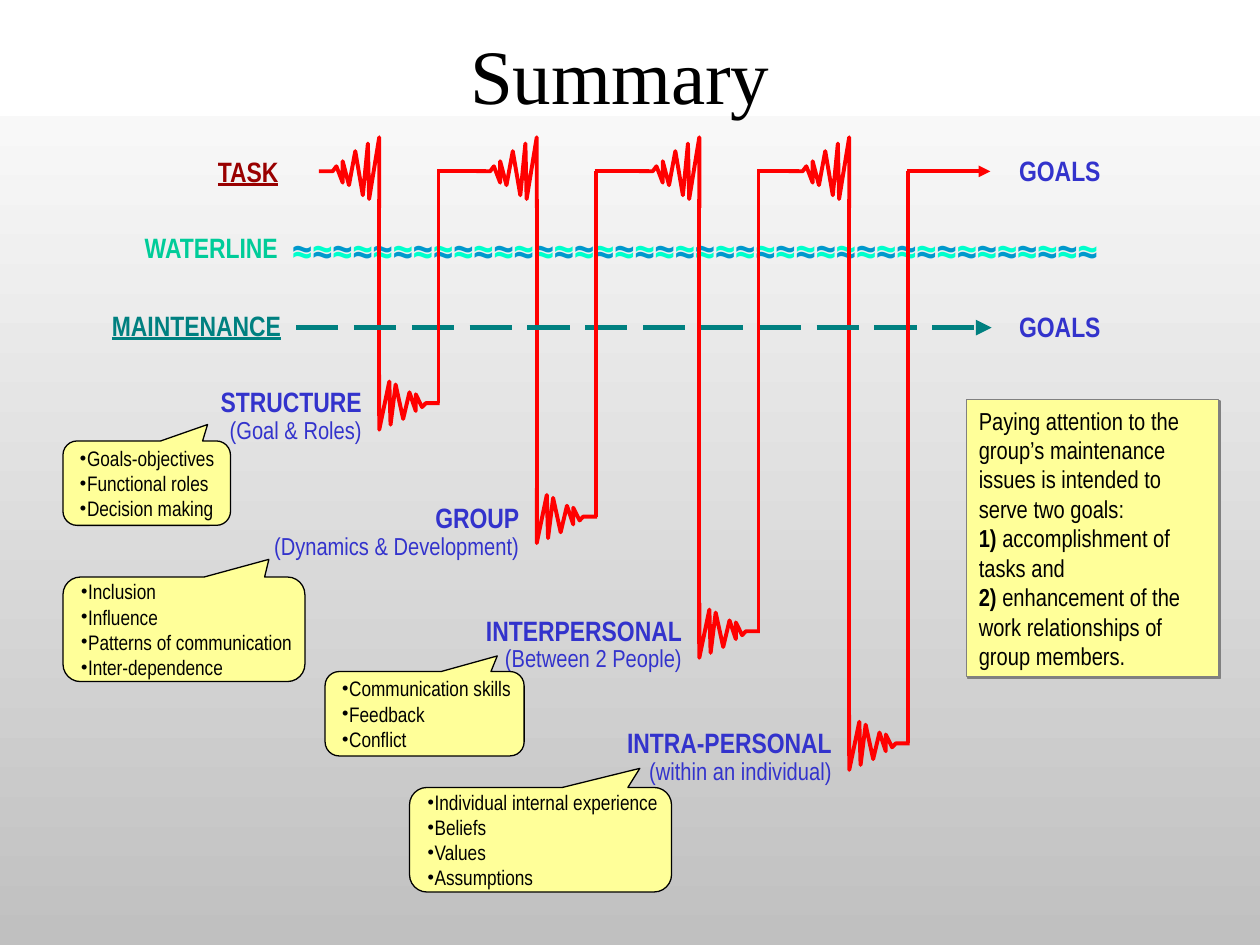
from itertools import cycle, islice

from lxml.etree import SubElement
from pptx import Presentation
from pptx.dml.color import RGBColor
from pptx.enum.dml import MSO_LINE
from pptx.enum.shapes import MSO_CONNECTOR, MSO_SHAPE
from pptx.enum.text import MSO_ANCHOR, MSO_AUTO_SIZE, PP_ALIGN
from pptx.oxml.ns import qn
from pptx.util import Inches, Pt

RED, BLUE, TEAL, YELLOW, BLACK = "FF0000", "3333CC", "008080", "FFFF99", "000000"
TASK_Y, MAINTENANCE_Y = 1.36, 2.6
RISER_GAP = 0.47  # from the falling line to the rising line
BURST = [(-0.48, 0), (-0.37, 0), (-0.34, -0.04), (-0.29, 0.09), (-0.29, -0.08),
         (-0.24, 0.11), (-0.19, -0.16), (-0.13, 0.19), (-0.09, -0.22),
         (-0.08, 0.22), (0, -0.27), (0, 0.29)]

# x of the fall, y of the level, label top, line spacing, label, callout box, tip, points
LEVELS = [
    (3.01, 3.2, 3.03, 0.9, "STRUCTURE", "(Goal & Roles)",
     (0.5, 3.5, 1.33, 0.67), (0.363, -0.695),
     ["Goals-objectives", "Functional roles", "Decision making"]),
    (4.26, 4.1, 3.95, 0.9, "GROUP", "(Dynamics & Development)",
     (0.5, 4.58, 1.92, 0.83), (0.351, -0.669),
     ["Inclusion", "Influence", "Patterns of communication", "Inter-dependence"]),
    (5.55, 5.01, 4.87, 0.8, "INTERPERSONAL", "(Between 2 People)",
     (2.58, 5.33, 1.58, 0.67), (0.365, -0.685),
     ["Communication skills", "Feedback", "Conflict"]),
    (6.74, 5.9, 5.76, 0.8, "INTRA-PERSONAL", "(within an individual)",
     (3.25, 6.25, 2.08, 0.83), (0.379, -0.683),
     ["Individual internal experience", "Beliefs", "Values", "Assumptions"]),
]


def rgb(hex_color):
    return RGBColor.from_string(hex_color)


def inches(box):
    return [Inches(length) for length in box]


def write(paragraph, text, size=16, color=BLACK, bold=False, underline=None,
          font="Arial Narrow"):
    run = paragraph.add_run()
    run.text = text
    run.font.name, run.font.size = font, Pt(size)
    run.font.bold, run.font.underline = bold, underline
    run.font.color.rgb = rgb(color)


def add_text_area(slide, box, wrap=False):
    frame = slide.shapes.add_textbox(*inches(box)).text_frame
    frame.word_wrap = wrap
    frame.auto_size = MSO_AUTO_SIZE.SHAPE_TO_FIT_TEXT
    return frame


def add_panel(slide, kind, box, line_color):
    panel = slide.shapes.add_shape(kind, *inches(box))
    panel.shadow.inherit = False
    panel.fill.solid()
    panel.fill.fore_color.rgb = rgb(YELLOW)
    panel.line.color.rgb = rgb(line_color)
    panel.line.width = Pt(0.75)
    return panel


def add_line(slide, start, end, color=RED, width=2.25, dash=None, arrow=False):
    connector = slide.shapes.add_connector(MSO_CONNECTOR.STRAIGHT,
                                           *inches(start + end))
    connector.line.color.rgb = rgb(color)
    connector.line.width = Pt(width)
    if dash:
        connector.line.dash_style = dash
    properties = connector.element.spPr
    if arrow:
        SubElement(properties.find(qn("a:ln")), qn("a:tailEnd"), type="triangle")
    SubElement(properties, qn("a:effectLst"))


def add_burst(slide, x, y, x_scale=1, y_scale=1):
    points = [(Inches(x + dx * x_scale), Inches(y + dy * y_scale))
              for dx, dy in BURST]
    builder = slide.shapes.build_freeform(*points[0])
    builder.add_line_segments(points[1:], close=False)
    burst = builder.convert_to_shape()
    burst.shadow.inherit = False
    burst.fill.background()
    burst.line.color.rgb = rgb(RED)
    burst.line.width = Pt(2.25)


def add_backdrop(slide, box):
    backdrop = slide.shapes.add_shape(MSO_SHAPE.RECTANGLE, *inches(box))
    backdrop.shadow.inherit = False
    backdrop.line.fill.background()
    backdrop.fill.gradient()
    backdrop.fill.gradient_angle = 270
    for stop, color in zip(backdrop.fill.gradient_stops, ("F8F8F8", "C0C0C0")):
        stop.color.rgb = rgb(color)


def add_waterline(slide, box):
    left, top, width, height = box
    aqua, sea = "00FFCC", "0099CC"
    for row_top, colors in ((top + 0.05, (aqua, sea)), (top, (sea, aqua))):
        row = add_text_area(slide, (left, row_top, width, height)).paragraphs[0]
        for color in islice(cycle(colors), 40):
            write(row, "~", size=24, color=color, bold=True)


def add_row_label(slide, box, text, color, underline=None):
    write(add_text_area(slide, box).paragraphs[0], text, color=color,
          bold=True, underline=underline)


def add_path(slide):
    # Falls from the task line to each level
    for x, y, *_ in LEVELS:
        add_burst(slide, x, TASK_Y)
        add_burst(slide, x, y, x_scale=-1, y_scale=-0.78)
        add_line(slide, (x, TASK_Y + 0.22), (x, y + 0.1))
    add_line(slide, (2.35, MAINTENANCE_Y), (7.87, MAINTENANCE_Y), color=TEAL,
             width=3, dash=MSO_LINE.LONG_DASH, arrow=True)
    # Rises back to the task line, the last one on to the goals
    next_bursts = [level[0] - 0.4 for level in LEVELS[1:]] + [7.86]
    for (x, y, *_), run_end in zip(LEVELS, next_bursts):
        riser = x + RISER_GAP
        add_line(slide, (riser, y), (riser, TASK_Y))
        add_line(slide, (riser - 0.01, TASK_Y), (run_end, TASK_Y),
                 arrow=run_end == next_bursts[-1])


def add_level_label(slide, box, heading, detail, spacing):
    frame = add_text_area(slide, box, wrap=True)
    first, second = frame.paragraphs[0], frame.add_paragraph()
    first.line_spacing, second.line_spacing = spacing, 0.9
    first.alignment = second.alignment = PP_ALIGN.RIGHT
    write(first, heading, color=BLUE, bold=True)
    write(second, detail, size=14, color=BLUE)


def add_callout(slide, box, tip, points):
    callout = add_panel(slide, MSO_SHAPE.ROUNDED_RECTANGULAR_CALLOUT, box, BLACK)
    for index, value in enumerate((*tip, 0.167)):
        callout.adjustments[index] = value
    frame = callout.text_frame
    frame.word_wrap = False
    frame.vertical_anchor = MSO_ANCHOR.MIDDLE
    for index, point in enumerate(points):
        paragraph = frame.add_paragraph() if index else frame.paragraphs[0]
        paragraph.alignment = PP_ALIGN.LEFT
        properties = paragraph._p.get_or_add_pPr()
        properties.set("marL", str(Inches(0.06)))
        properties.set("indent", str(-Inches(0.06)))
        bullet_color = SubElement(properties, qn("a:buClr"))
        SubElement(bullet_color, qn("a:srgbClr"), val=BLACK)
        SubElement(properties, qn("a:buFont"), typeface="Times New Roman")
        SubElement(properties, qn("a:buChar"), char="•")
        write(paragraph, point, size=12)


def add_goals_note(slide, box):
    note = add_panel(slide, MSO_SHAPE.RECTANGLE, box, "808080")
    effects = note.element.spPr.find(qn("a:effectLst"))
    shadow = SubElement(effects, qn("a:outerShdw"), blurRad="0",
                        dist=str(Pt(1.4)), dir="2700000", algn="ctr")
    SubElement(shadow, qn("a:srgbClr"), val="808080")
    frame = note.text_frame
    frame.word_wrap = True
    frame.vertical_anchor = MSO_ANCHOR.TOP
    paragraph = frame.paragraphs[0]
    paragraph.alignment = PP_ALIGN.LEFT
    write(paragraph, "Paying attention to the group’s maintenance issues is "
          "intended to serve two goals:", size=14)
    for number, goal in (("1)", " accomplishment of tasks and"),
                         ("2)", " enhancement of the work relationships of "
                                "group members.")):
        paragraph.add_line_break()
        write(paragraph, number, size=14, bold=True)
        write(paragraph, goal, size=14)


def place_title(slide, box, text):
    title = slide.shapes.title
    title.left, title.top, title.width, title.height = inches(box)
    frame = title.text_frame
    frame.auto_size = MSO_AUTO_SIZE.NONE
    frame.vertical_anchor = MSO_ANCHOR.MIDDLE
    frame.paragraphs[0].alignment = PP_ALIGN.CENTER
    write(frame.paragraphs[0], text, size=44, font="Times New Roman")
    title.element.getparent().append(title.element)  # in front of the backdrop


def main():
    deck = Presentation()
    deck.slide_width, deck.slide_height = Inches(10), Inches(7.5)
    slide = deck.slides.add_slide(deck.slide_layouts[5])
    add_backdrop(slide, (0, 0.92, 10, 6.58))
    add_waterline(slide, (2.22, 1.71, 6.59, 0.5))
    add_path(slide)
    # Row labels
    add_row_label(slide, (1.63, 1.18, 0.69, 0.37), "TASK", "990000", True)
    add_row_label(slide, (1.05, 1.78, 1.28, 0.37), "WATERLINE", "00CC99")
    add_row_label(slide, (0.79, 2.4, 1.54, 0.37), "MAINTENANCE", TEAL, True)
    for top in (1.17, 2.41):
        add_row_label(slide, (7.99, top, 0.88, 0.37), "GOALS", BLUE)
    # Levels below the waterline
    for x, _, top, spacing, heading, detail, box, tip, points in LEVELS:
        add_level_label(slide, (x - 2.41, top, 2.37, 0.55), heading, detail, spacing)
        add_callout(slide, box, tip, points)
    add_goals_note(slide, (7.67, 3.17, 2, 2.2))
    place_title(slide, (0.67, 0.25, 8.5, 0.67), "Summary")
    deck.save("out.pptx")


if __name__ == "__main__":
    main()
